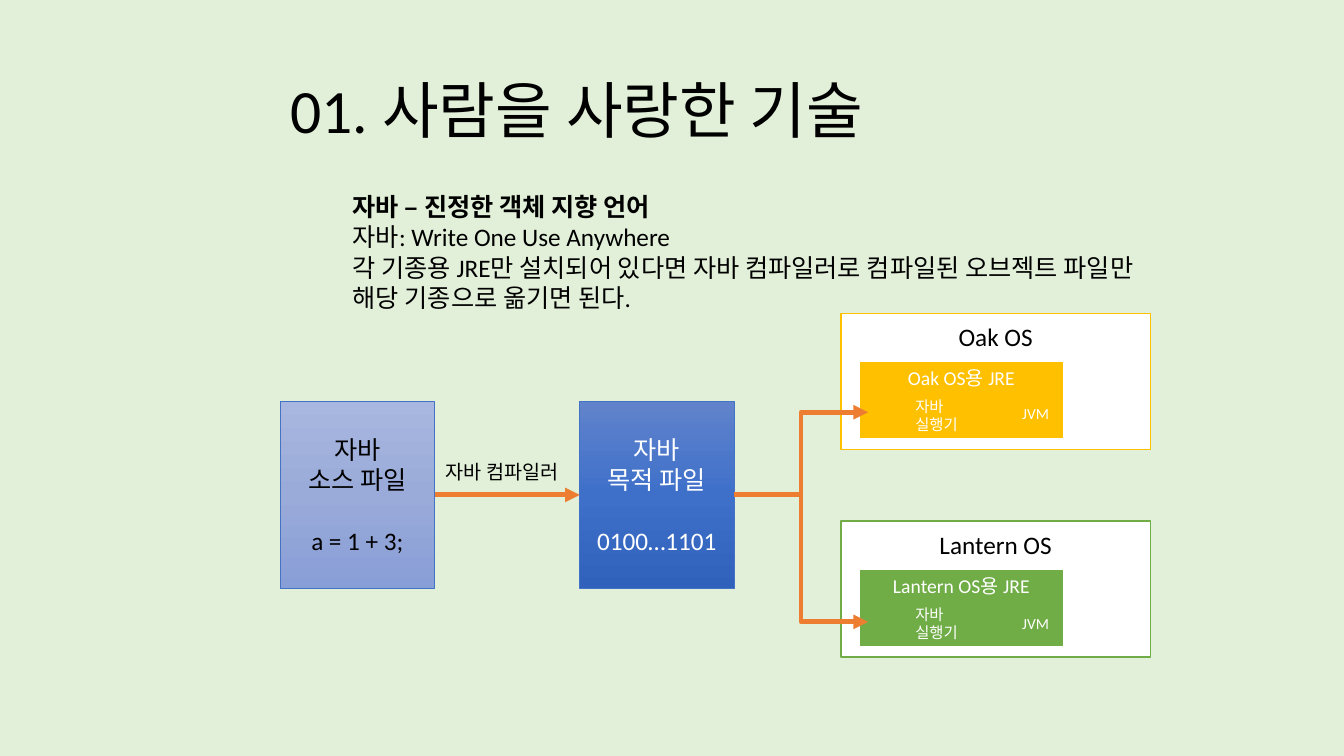
import copy
import pptx
import pptx.util
import pptx.dml.color
import pptx.enum.dml
import pptx.enum.shapes
import pptx.enum.text
import pptx.oxml
import pptx.oxml.ns

Inches, Pt = pptx.util.Inches, pptx.util.Pt
ALIGN = pptx.enum.text.PP_ALIGN
ANCHOR = pptx.enum.text.MSO_ANCHOR
LINK = pptx.enum.shapes.MSO_CONNECTOR
qn = pptx.oxml.ns.qn

# Content
TITLE = "01. 사람을 사랑한 기술"
BODY = [
    "자바 – 진정한 객체 지향 언어",
    "자바: Write One Use Anywhere",
    "각 기종용 JRE만 설치되어 있다면 자바 컴파일러로 컴파일된 오브젝트 파일만 "
    "해당 기종으로 옮기면 된다.",
]
FILES = [  # left, lines, gradient colours, text colour
    (2.78, ["자바", "소스 파일", "a = 1 + 3;"], ["src1", "src2", "src3"], "black"),
    (5.75, ["자바", "목적 파일", "0100…1101"], ["obj1", "obj2", "obj3"], "white"),
]
HOSTS = [  # top, system, colour, arrow height
    (3.11, "Oak OS", "gold", 4.09),
    (5.17, "Lantern OS", "green", 6.17),
]
STEP = "자바 컴파일러"
RUN = ["자바", "실행기"]

COLORS = {
    "back": "E2F0D9", "black": "000000", "white": "FFFFFF",
    "blue": "4472C4", "gold": "FFC000", "green": "70AD47", "arrow": "ED7D31",
    "src1": "A8B7DF", "src2": "9AABD9", "src3": "889ED7",
    "obj1": "6183CB", "obj2": "3E70CA", "obj3": "3062BB",
}
FONT = "Calibri"
FILE_TOP, FILE_W, FILE_H = 3.98, 1.53, 1.86
MID = FILE_TOP + FILE_H / 2

deck = pptx.Presentation()
deck.slide_width, deck.slide_height = Inches(13.33), Inches(7.5)
slide = deck.slides.add_slide(deck.slide_layouts[6])


def color(name):
    return pptx.dml.color.RGBColor.from_string(COLORS[name])


def write(shape, lines, size, ink="black", align=ALIGN.LEFT, **form):
    """Put one paragraph per line in a shape; form sets its text frame."""
    frame = shape.text_frame
    for key, value in form.items():
        setattr(frame, key, value)
    frame.text = "\n".join(lines)
    for para in frame.paragraphs:
        para.alignment = align
        for key, value in {"name": FONT, "size": Pt(size)}.items():
            setattr(para.font, key, value)
        para.font.color.rgb = color(ink)
    return frame.paragraphs


def label(box, lines, size, ink="black", **form):
    shape = slide.shapes.add_textbox(*map(Inches, box))
    return write(shape, lines, size, ink, **form)


def block(box, edge, width, fill=None):
    kind = pptx.enum.shapes.MSO_SHAPE.RECTANGLE
    shape = slide.shapes.add_shape(kind, *map(Inches, box))
    shape.shadow.inherit = False
    shape.line.color.rgb = color(edge)
    shape.line.width = Pt(width)
    if fill:
        shape.fill.solid()
        shape.fill.fore_color.rgb = color(fill)
    return shape


def blend(shape, names):
    """Fill a shape from top to bottom with three colours."""
    shape.fill.gradient()
    shape.fill.gradient_angle = 270
    stops = shape._element.spPr.find(qn("a:gradFill")).find(qn("a:gsLst"))
    stops.insert(1, copy.deepcopy(stops[0]))
    for stop, name, place in zip(shape.fill.gradient_stops, names, (0, 0.5, 1)):
        stop.color.rgb = color(name)
        stop.position = place


def arrow(kind, *ends):
    link = slide.shapes.add_connector(kind, *map(Inches, ends))
    link.line.color.rgb = color("arrow")
    link.line.width = Pt(3.5)
    tail = pptx.oxml.parse_xml(
        '<a:tailEnd xmlns:a="%s" type="triangle"/>' % pptx.oxml.ns.nsdecls("a").split('"')[1])
    link.line._get_or_add_ln().append(tail)
    props = link._element.spPr
    props.append(props.makeelement(qn("a:effectLst"), {}))


# Background, title and body
slide.background.fill.solid()
slide.background.fill.fore_color.rgb = color("back")
label((2.78, 0.4, 9.63, 1.45), [TITLE], 44, word_wrap=True,
      vertical_anchor=ANCHOR.MIDDLE)[0].line_spacing = 0.9
label((3.4, 1.85, 8.2, 1.62), BODY, 18, word_wrap=True)[0].font.bold = True

# Source and object files
for left, lines, shades, ink in FILES:
    shape = block((left, FILE_TOP, FILE_W, FILE_H), "blue", 0.5)
    blend(shape, shades)
    paras = write(shape, lines, 18, ink, ALIGN.CENTER, vertical_anchor=ANCHOR.MIDDLE)
    paras[-1].space_before = Pt(22)

# Systems, each with its runtime
for top, name, tone, goal in HOSTS:
    host = block((8.34, top, 3.07, 1.35), tone, 1, "white")
    write(host, [name], 18, "black", ALIGN.CENTER,
          vertical_anchor=ANCHOR.TOP, margin_top=Inches(0.08))
    jre = block((8.52, top + 0.47, 2.03, 0.78), "white", 1.5, tone)
    write(jre, [name + "용 JRE"], 14, "white", ALIGN.CENTER,
          vertical_anchor=ANCHOR.TOP, margin_top=Inches(0.05))
    label((8.98, top + 0.78, 0.66, 0.47), RUN, 11, "white", word_wrap=False)
    label((10.04, goal - 0.13, 0.47, 0.29), ["JVM"], 11, "white", word_wrap=False)

# Arrows
start, end = (left + FILE_W for left, *rest in FILES)
arrow(LINK.STRAIGHT, start, MID, FILES[1][0], MID)
for top, name, tone, goal in HOSTS:
    arrow(LINK.ELBOW, end, MID, 8.61, goal)
label((4.32, 4.51, 1.42, 0.34), [STEP], 14, word_wrap=False)

deck.save("out.pptx")
